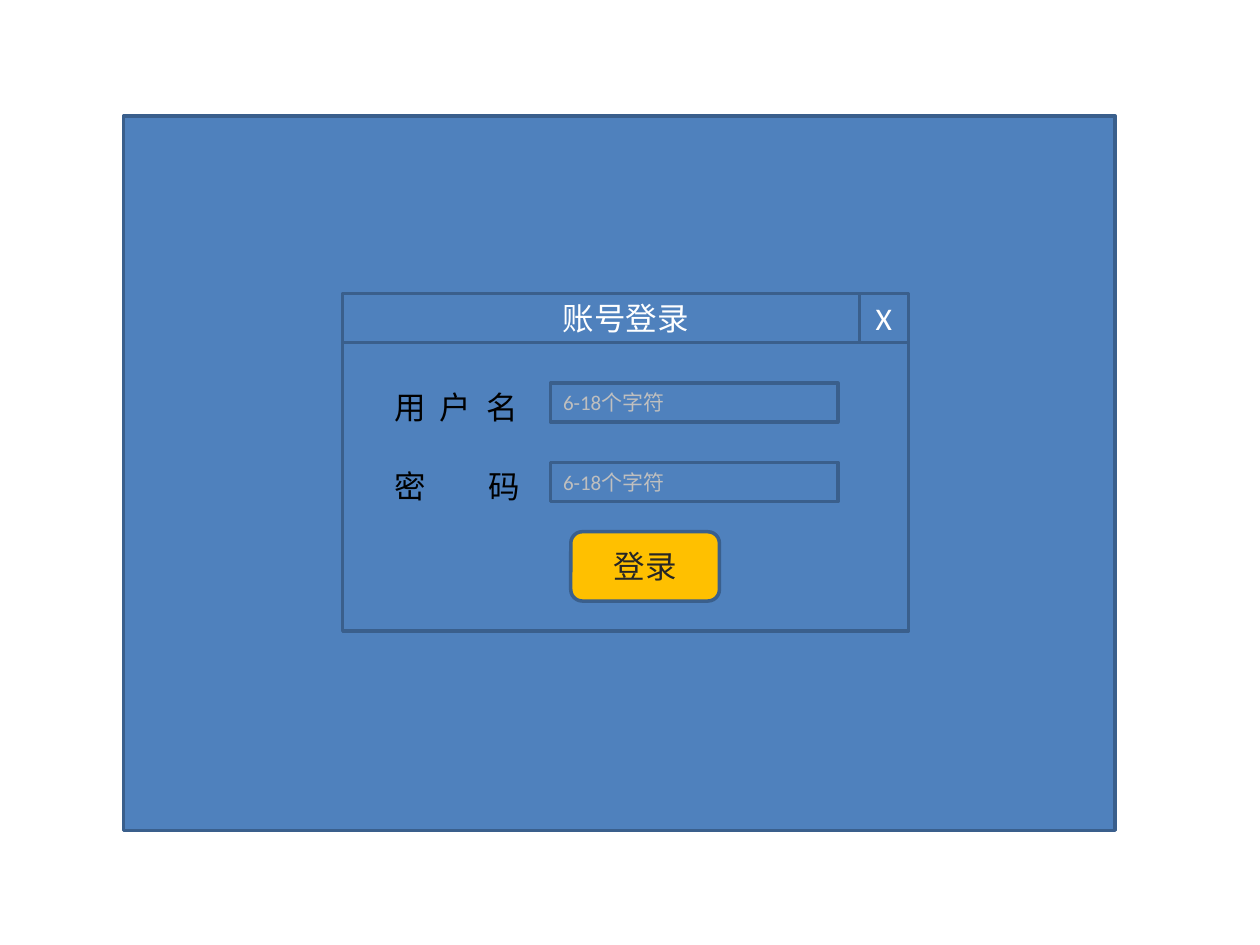
from lxml.etree import SubElement
from pptx import Presentation
from pptx.dml.color import RGBColor
from pptx.enum.shapes import MSO_SHAPE as Shape
from pptx.enum.text import MSO_ANCHOR as Anchor, PP_ALIGN as Align
from pptx.oxml.ns import qn
from pptx.util import Inches, Pt

BLUE, EDGE, AMBER = "4F81BD", "3A5F8C", "FFC000"
WHITE, BLACK, CHARCOAL, GREY = "FFFFFF", "000000", "262626", "BFBFBF"

SCREEN = (0.98, 0.92, 7.87, 5.67)
DIALOG = (2.72, 2.33, 4.49, 2.68)
BAR_HEIGHT = 0.39
BUTTON = (4.53, 4.22, 1.18, 0.55)
TITLE, CLOSE, SUBMIT = "账号登录", "X", "登录"
HINT = "6-18个字符"
FIELDS = [("用\t户\t名", (0.36, 0.73)), ("密\t码", (0.75,))]
FIELD_TOP, FIELD_STEP = 3.04, 0.63
LABEL_LEFT, LABEL_SIZE = 3.03, (1.42, 0.4)
INPUT_LEFT, INPUT_SIZE = 4.37, (2.28, 0.31)


def color(value):
    """Turn a hex string into a colour."""
    return RGBColor.from_string(value)


def write(box, text, ink, size=18, align=Align.LEFT, anchor=Anchor.MIDDLE, tabs=()):
    """Put one line of text with optional tab stops in a box."""
    frame = box.text_frame
    for name, value in {"word_wrap": True, "vertical_anchor": anchor}.items():
        setattr(frame, name, value)
    para = frame.paragraphs[0]
    para.alignment = align
    if tabs:
        stops = SubElement(para._p.get_or_add_pPr(), qn("a:tabLst"))
        for stop in tabs:
            SubElement(stops, qn("a:tab"), pos=str(Inches(stop)), algn="l")
    span = para.add_run()
    span.text = text
    for name, value in {"name": "Calibri", "size": Pt(size)}.items():
        setattr(span.font, name, value)
    span.font.color.rgb = color(ink)


def add_panel(page, place, fill=BLUE, kind=Shape.RECTANGLE):
    """Add an outlined, filled shape."""
    panel = page.shapes.add_shape(kind, *map(Inches, place))
    panel.shadow.inherit = False
    panel.fill.solid()
    panel.fill.fore_color.rgb = color(fill)
    panel.line.color.rgb = color(EDGE)
    panel.line.width = Pt(2)
    return panel


def main():
    """Build the login screen slide."""
    deck = Presentation()
    deck.slide_width, deck.slide_height = Inches(10), Inches(7.5)
    page = deck.slides.add_slide(deck.slide_layouts[6])

    add_panel(page, SCREEN)
    add_panel(page, DIALOG)
    left, top, width, _ = DIALOG
    title_bar = add_panel(page, (left, top, width, BAR_HEIGHT))
    write(title_bar, TITLE, WHITE, align=Align.CENTER)
    close = add_panel(page, (left + width - BAR_HEIGHT, top, BAR_HEIGHT, BAR_HEIGHT))
    write(close, CLOSE, WHITE, align=Align.CENTER)

    for index, (label, tabs) in enumerate(FIELDS):
        row = FIELD_TOP + index * FIELD_STEP
        entry = add_panel(page, (INPUT_LEFT, row, *INPUT_SIZE))
        write(entry, HINT, GREY, size=12)
        caption = page.shapes.add_textbox(*map(Inches, (LABEL_LEFT, row - 0.01, *LABEL_SIZE)))
        write(caption, label, BLACK, anchor=Anchor.TOP, tabs=tabs)

    button = add_panel(page, BUTTON, AMBER, Shape.ROUNDED_RECTANGLE)
    write(button, SUBMIT, CHARCOAL, align=Align.CENTER)
    deck.save("out.pptx")


if __name__ == "__main__":
    main()
